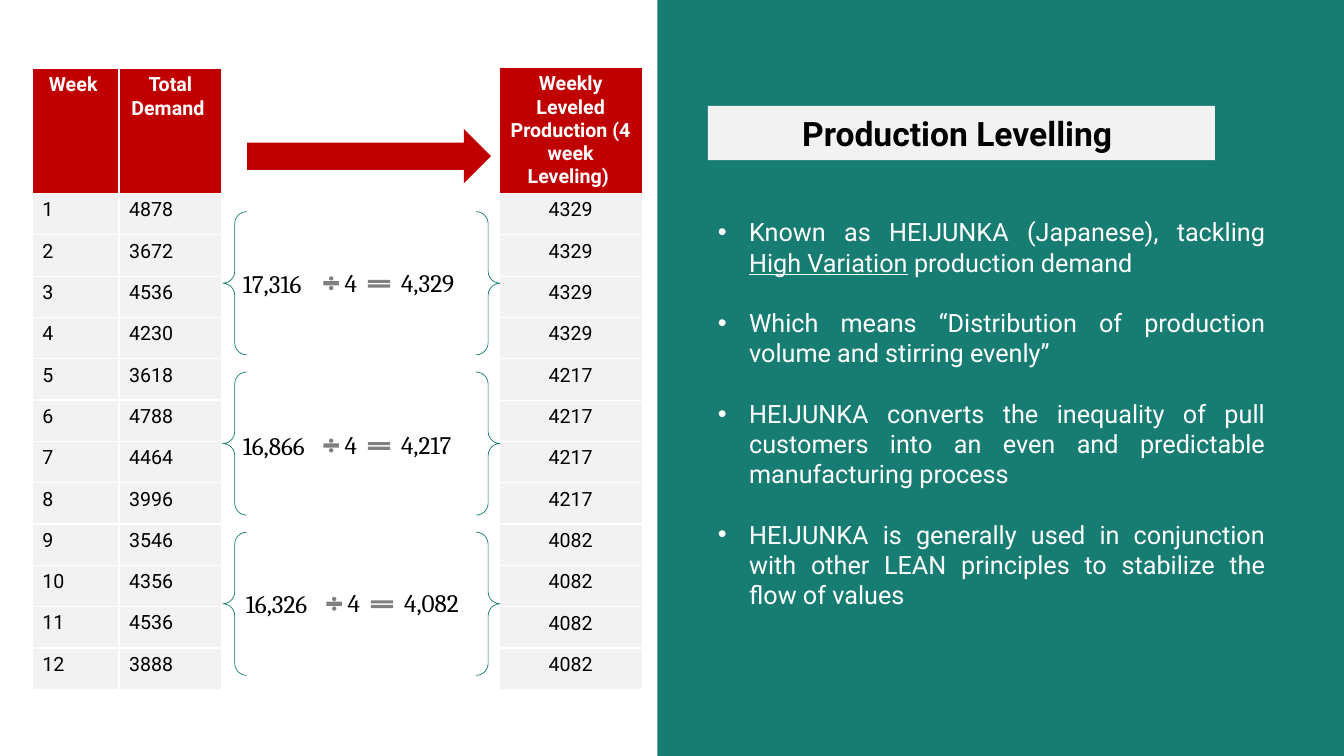
from lxml.etree import SubElement
from pptx import Presentation
from pptx.dml.color import RGBColor
from pptx.enum.shapes import MSO_SHAPE
from pptx.enum.text import MSO_ANCHOR, MSO_AUTO_SIZE, PP_ALIGN
from pptx.oxml.ns import qn
from pptx.util import Pt

PX = 9144  # 100 px to the inch
TEAL = RGBColor(0x17, 0x7C, 0x72)
RED = RGBColor(0xC0, 0x00, 0x00)
PALE = RGBColor(0xF2, 0xF2, 0xF2)
GRAY = RGBColor(0x80, 0x80, 0x80)
BLACK = RGBColor(0x00, 0x00, 0x00)
WHITE = RGBColor(0xFF, 0xFF, 0xFF)


def add_solid(shapes, kind, left, top, width, height, color):
    shape = shapes.add_shape(kind, left * PX, top * PX, width * PX, height * PX)
    shape.shadow.inherit = False
    shape.fill.solid()
    shape.fill.fore_color.rgb = color
    shape.line.fill.background()
    return shape


def style_font(para, name, size, color, bold=False):
    para.font.name = name
    para.font.size = Pt(size)
    para.font.color.rgb = color
    para.font.bold = bold


deck = Presentation()
deck.slide_width, deck.slide_height = 1333 * PX, 750 * PX
slide = deck.slides.add_slide(deck.slide_layouts[1])
title, body = slide.placeholders

# Teal panel, behind the title and the list
panel = add_solid(slide.shapes, MSO_SHAPE.RECTANGLE, 652, 0, 681, 750, TEAL)
title._element.addprevious(panel._element)

# Title
title.left, title.top, title.width, title.height = 702 * PX, 105 * PX, 503 * PX, 54 * PX
title.fill.solid()
title.fill.fore_color.rgb = PALE
title.text_frame.auto_size = MSO_AUTO_SIZE.NONE
title.text_frame.vertical_anchor = MSO_ANCHOR.MIDDLE
title.text_frame.text = "Production Levelling "
title_para = title.text_frame.paragraphs[0]
title_para.alignment = PP_ALIGN.CENTER
style_font(title_para, "Roboto", 24, BLACK, bold=True)

# Bullet list, each paragraph a list of (text, underlined)
points = [
    [("Known as HEIJUNKA (Japanese), tackling ", False), ("High Variation", True),
     (" production demand", False)],
    [("Which means “Distribution of production volume and stirring evenly”", False)],
    [("HEIJUNKA converts the inequality of pull customers into an even and "
      "predictable manufacturing process", False)],
    [("HEIJUNKA is generally used in conjunction with other LEAN principles to "
      "stabilize the flow of values", False)],
]
body.left, body.top, body.width, body.height = 702 * PX, 210 * PX, 563 * PX, 404 * PX
frame = body.text_frame
frame.auto_size = MSO_AUTO_SIZE.NONE
for index, point in enumerate(points):
    para = frame.paragraphs[0] if index == 0 else frame.add_paragraph()
    properties = para._p.get_or_add_pPr()
    properties.set("marL", str(31 * PX))
    properties.set("indent", str(-31 * PX))
    SubElement(properties, qn("a:buChar"), char="•")
    para.alignment = PP_ALIGN.JUSTIFY
    para.space_before = Pt(21.6 if index else 0)
    style_font(para, "Roboto", 18, WHITE)
    for text, underlined in point:
        span = para.add_run()
        span.text = text
        if underlined:
            span.font.underline = True

# Demand table and levelled production table
demand = [4878, 3672, 4536, 4230, 3618, 4788, 4464, 3996, 3546, 4356, 4536, 3888]
leveled = [4329, 4217, 4082]
demand_rows = [("Week ", "Total Demand ")] + list(enumerate(demand, 1))
leveled_rows = [("Weekly Leveled Production (4 week Leveling) ",)]
leveled_rows += [(value,) for value in leveled for week in range(4)]
tables = [
    (32, 68, [86, 102], demand_rows, PP_ALIGN.LEFT),
    (495, 67, [142], leveled_rows, PP_ALIGN.CENTER),
]
for left, top, widths, rows, alignment in tables:
    table = slide.shapes.add_table(len(rows), len(widths), left * PX, top * PX,
                                   sum(widths) * PX, (124 + 12 * 41) * PX).table
    table.horz_banding = False
    for column, width in zip(table.columns, widths):
        column.width = width * PX
    for row_index, values in enumerate(rows):
        header = row_index == 0
        table.rows[row_index].height = (124 if header else 41) * PX
        for column_index, value in enumerate(values):
            cell = table.cell(row_index, column_index)
            cell.fill.solid()
            cell.fill.fore_color.rgb = RED if header else PALE
            cell.text = str(value)
            para = cell.text_frame.paragraphs[0]
            para.alignment = PP_ALIGN.CENTER if header else alignment
            style_font(para, "Roboto", 14, WHITE if header else BLACK, bold=header)

# Arrow from demand to levelled production
add_solid(slide.shapes, MSO_SHAPE.RIGHT_ARROW, 245, 128, 242, 54, RED)

# Braces, one for each four weeks
for index in range(3):
    brace = slide.shapes.add_shape(MSO_SHAPE.DOUBLE_BRACE, 221 * PX,
                                   (210 + 159 * index) * PX, 275 * PX, 142 * PX)
    brace.shadow.inherit = False
    brace.fill.background()
    brace.line.color.rgb = TEAL
    brace.line.width = Pt(0.5)

# Equations: four-week total ÷ 4 = weekly level
equations = [(231, 260, "17,316", "4,329"), (231, 421, "16,866", "4,217"),
             (234, 578, "16,326", "4,082")]
for left, top, total, level in equations:
    group = slide.shapes.add_group_shape()
    for offset, drop, width, text in [(0, 1, 96, total), (101, 0, 34, "4"),
                                      (157, 0, 82, level)]:
        box = group.shapes.add_textbox((left + offset) * PX, (top + drop) * PX,
                                       width * PX, 40 * PX)
        box.text_frame.word_wrap = False
        box.text_frame.text = text
        style_font(box.text_frame.paragraphs[0], "Cambria", 18, BLACK)
    add_solid(group.shapes, MSO_SHAPE.MATH_DIVIDE, left + 87, top + 12, 21, 18, GRAY)
    add_solid(group.shapes, MSO_SHAPE.MATH_EQUAL, left + 130, top + 15, 30, 13, GRAY)

deck.save("out.pptx")
